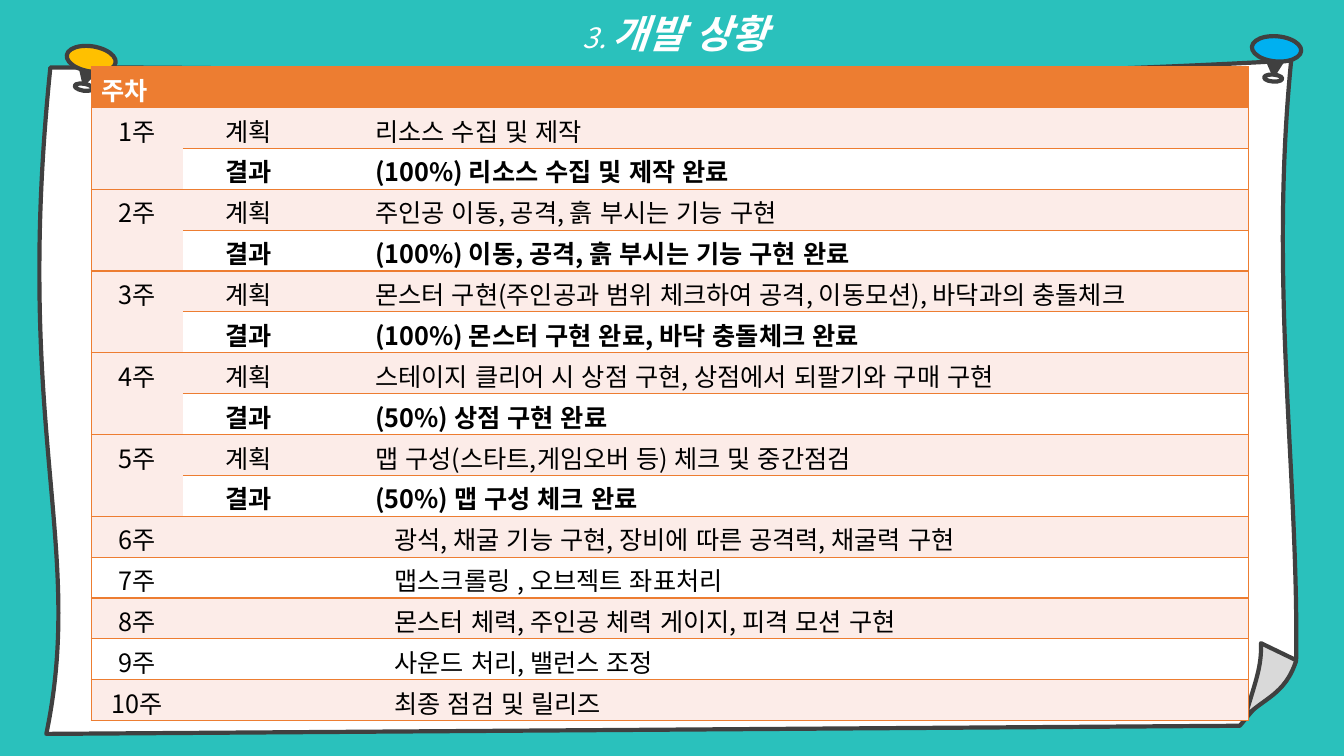
from lxml import etree
from pptx import Presentation
from pptx import util as u
from pptx.dml.color import RGBColor
from pptx.enum import shapes, text
from pptx.oxml import ns

Pt = u.Pt
FONT = "Noto Sans CJK KR"
COLORS = {
    "teal": "2AC1BC", "paper": "FFFFFF", "fold": "D9D9D9", "outline": "404040",
    "yellow": "FFC000", "blue": "00B0F0", "orange": "ED7D31", "band": "FCECE8",
    "white": "FFFFFF", "black": "000000",
}
ROW_HEIGHT = 29.2
COLUMN_WIDTHS = (65.5, 94.3, 666.7)

# Weeks with a plan and a result
REVIEWED_WEEKS = [
    ("리소스 수집 및 제작", "(100%) 리소스 수집 및 제작 완료"),
    ("주인공 이동, 공격, 흙 부시는 기능 구현",
     "(100%) 이동, 공격, 흙 부시는 기능 구현 완료"),
    ("몬스터 구현(주인공과 범위 체크하여 공격, 이동모션), 바닥과의 충돌체크",
     "(100%) 몬스터 구현 완료, 바닥 충돌체크 완료"),
    ("스테이지 클리어 시 상점 구현, 상점에서 되팔기와 구매 구현",
     "(50%) 상점 구현 완료"),
    ("맵 구성(스타트,게임오버 등) 체크 및 중간점검", "(50%) 맵 구성 체크 완료"),
]
# Weeks still to come
COMING_WEEKS = [
    "광석, 채굴 기능 구현, 장비에 따른 공격력, 채굴력 구현",
    "맵스크롤링 , 오브젝트 좌표처리",
    "몬스터 체력, 주인공 체력 게이지, 피격 모션 구현",
    "사운드 처리, 밸런스 조정",
    "최종 점검 및 릴리즈",
]


def rgb(name):
    return RGBColor.from_string(COLORS[name])


def write(paragraph, words, size=18, color="black", bold=False, italic=False,
          center=False, indent=0):
    """Add one run to a paragraph."""
    run = paragraph.add_run()
    run.text = words
    font = run.font
    font.name, font.size, font.bold, font.italic = FONT, Pt(size), bold, italic
    font.color.rgb = rgb(color)
    properties = run._r.get_or_add_rPr()
    properties.set("lang", "ko-KR")
    etree.SubElement(properties, ns.qn("a:ea"), typeface=FONT)
    paragraph.alignment = text.PP_ALIGN.CENTER if center else text.PP_ALIGN.LEFT
    if indent:
        layout = paragraph._p.get_or_add_pPr()
        layout.set("marL", str(Pt(indent)))
        layout.set("indent", "0")


def paint(shape, fill):
    shape.shadow.inherit = False
    shape.fill.solid()
    shape.fill.fore_color.rgb = rgb(fill)
    shape.line.color.rgb = rgb("outline")
    shape.line.width = Pt(3)


def add_outline(slide, start, segments, fill):
    """Closed outline; a segment is one point (line) or three (Bézier curve)."""
    builder = slide.shapes.build_freeform(Pt(start[0]), Pt(start[1]))
    builder.add_line_segments(
        [(Pt(x), Pt(y)) for x, y in (segment[-1] for segment in segments)], close=True)
    outline = builder.convert_to_shape()
    # Bend the curved segments, with control points relative to the shape
    steps = list(outline._element.iter(ns.qn("a:lnTo")))
    for step, segment in zip(steps, segments):
        if len(segment) == 3:
            step.tag = ns.qn("a:cubicBezTo")
            for index, (x, y) in enumerate(segment[:2]):
                handle = etree.Element(ns.qn("a:pt"), x=str(Pt(x) - outline.left),
                                       y=str(Pt(y) - outline.top))
                step.insert(index, handle)
    paint(outline, fill)


def add_pin(slide, color, base, needle, head):
    """Push pin; each part is given as left, top, rotation."""
    pin = slide.shapes.add_group_shape()
    oval = shapes.MSO_SHAPE.OVAL
    parts = [
        (oval, base, (13, 5), "paper"),
        (shapes.MSO_SHAPE.ISOSCELES_TRIANGLE, needle, (16.6, 15.8), "outline"),
        (oval, head, (35.3, 18), color),
    ]
    for kind, (left, top, rotation), (width, height), fill in parts:
        part = pin.shapes.add_shape(kind, Pt(left), Pt(top), Pt(width), Pt(height))
        paint(part, fill)
        part.rotation = rotation
        if kind != oval:
            part._element.spPr.find(ns.qn("a:xfrm")).set("flipV", "1")


def add_title(slide):
    title = slide.shapes.add_textbox(Pt(278.6), Pt(5), Pt(407.5), Pt(41)).text_frame
    title.word_wrap = True
    title.margin_top, title.margin_bottom = Pt(2), 0
    line = title.paragraphs[0]
    write(line, "3. ", size=20, color="white", italic=True, center=True)
    write(line, "개발 상황", size=28, color="white", bold=True, italic=True, center=True)


def style_cell(cell, fill, bordered):
    properties = cell._tc.get_or_add_tcPr()
    for side in "LRTB":
        edge = etree.SubElement(properties, ns.qn("a:ln" + side), w=str(Pt(1)))
        if side in bordered:
            solid = etree.SubElement(edge, ns.qn("a:solidFill"))
            etree.SubElement(solid, ns.qn("a:srgbClr"), val=COLORS["orange"])
        else:
            etree.SubElement(edge, ns.qn("a:noFill"))
    cell.fill.solid()
    cell.fill.fore_color.rgb = rgb(fill)
    cell.margin_top, cell.margin_bottom = Pt(3.1), 0


def add_schedule(slide):
    reviewed_rows = 2 * len(REVIEWED_WEEKS)
    row_count = 1 + reviewed_rows + len(COMING_WEEKS)
    schedule = slide.shapes.add_table(
        row_count, 3, Pt(65.1), Pt(47.6),
        Pt(sum(COLUMN_WIDTHS)), Pt(ROW_HEIGHT * row_count)).table
    schedule.horz_banding = False
    for column, width in zip(schedule.columns, COLUMN_WIDTHS):
        column.width = Pt(width)
    for index, row in enumerate(schedule.rows):
        row.height = Pt(ROW_HEIGHT)
        fill = "orange" if index == 0 else "band" if index % 2 else "white"
        # A middle cell that spans to the edge carries the right border
        middle = "TB" if 1 <= index <= reviewed_rows else "RTB"
        for cell, borders in zip(row.cells, ("LTB", middle, "RTB")):
            style_cell(cell, fill, borders)

    def put(row, column, words, **style):
        write(schedule.cell(row, column).text_frame.paragraphs[0], words, **style)

    def merge(row, column, last_row, last_column):
        schedule.cell(row, column).merge(schedule.cell(last_row, last_column))

    # Header
    merge(0, 1, 0, 2)
    put(0, 0, "주차", color="white", bold=True)

    # Plan above result
    for week, entries in enumerate(REVIEWED_WEEKS, 1):
        top = 2 * week - 1
        merge(top, 0, top + 1, 0)
        put(top, 0, f"{week}주", center=True)
        for offset, (label, entry) in enumerate(zip(("계획", "결과"), entries)):
            done = label == "결과"
            put(top + offset, 1, label, bold=done, center=True)
            put(top + offset, 2, entry, bold=done, indent=36)

    # One row for each later week
    first_week = len(REVIEWED_WEEKS) + 1
    for week, plan in enumerate(COMING_WEEKS, first_week):
        row = week + len(REVIEWED_WEEKS)
        merge(row, 1, row, 2)
        put(row, 0, f"{week}주", center=True)
        put(row, 1, plan, indent=144)


def main():
    deck = Presentation()
    deck.slide_width, deck.slide_height = Pt(960), Pt(540)
    slide = deck.slides.add_slide(deck.slide_layouts[6])
    slide.background.fill.solid()
    slide.background.fill.fore_color.rgb = rgb("teal")

    # Paper sheet and its folded corner
    add_outline(slide, (922.3, 43.2), [
        [(906.5, 203), (927.4, 335.5), (925.9, 470.2)],
        [(925.9, 475.9), (918, 481), (918, 486)],
        [(906.5, 497.5)], [(900, 501.1)], [(885.6, 518.4)], [(33.1, 524.2)],
        [(61.2, 389.5), (9.4, 306), (36, 48.2)],
        [(321.8, 47.5), (578.9, 62.6), (922.3, 43.2)],
    ], "paper")
    add_outline(slide, (925.9, 471.6), [
        [(900.7, 459.4)],
        [(901.4, 476.6), (896.4, 487.4), (889.2, 512.6)],
        [(901.4, 499), (918, 496.8), (925.9, 471.6)],
    ], "fold")

    # Push pins
    add_pin(slide, "yellow", (53.3, 59.8, 9), (54, 43.9, 15.1), (47.5, 33.1, 9))
    add_pin(slide, "blue", (902.9, 53.3, 4.3), (902.2, 37.4, 4.7), (894.2, 25.9, 4.9))

    add_title(slide)
    add_schedule(slide)
    deck.save("out.pptx")


if __name__ == "__main__":
    main()
